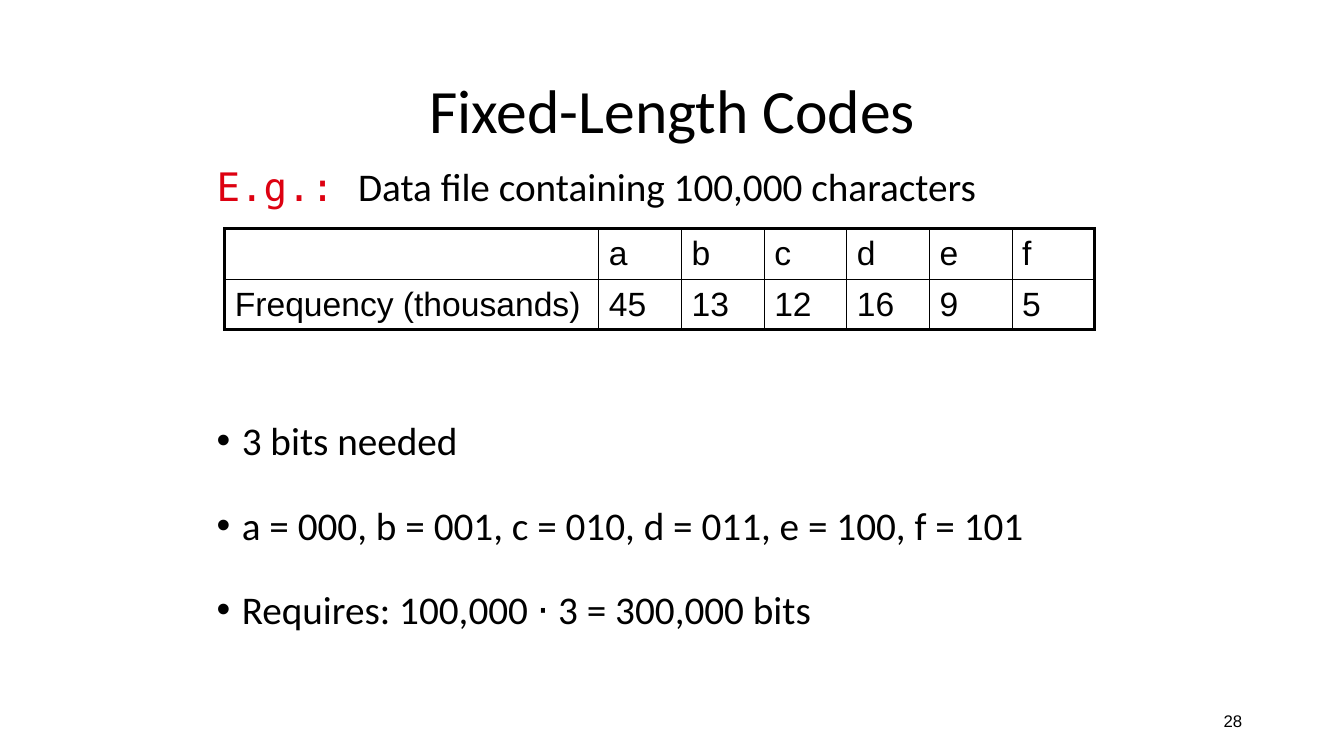
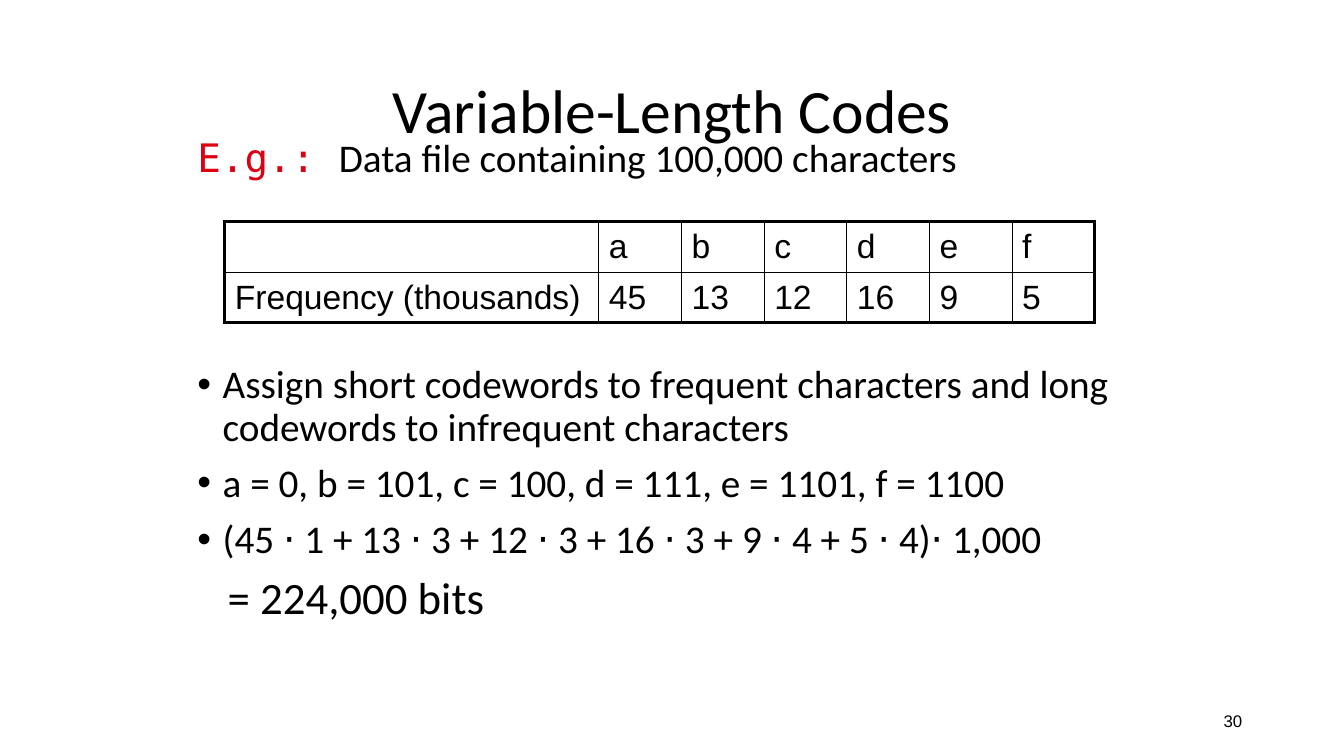
from dataclasses import dataclass

from lxml.etree import SubElement
from pptx import Presentation
from pptx.dml.color import RGBColor
from pptx.enum.text import MSO_ANCHOR, PP_ALIGN
from pptx.oxml import parse_xml
from pptx.oxml.ns import nsdecls, qn
from pptx.slide import Slide
from pptx.table import _Cell
from pptx.util import Inches, Pt

COLORS = {"text": "000000", "accent": "DD0111", "background": "FFFFFF"}
BODY_FONT, LEAD_FONT, TABLE_FONT = "Calibri", "DejaVu Sans Mono", "Arial"
THIN, THICK = 1, 2.25
COLUMNS = [3.71] + [0.82] * 6
ROW_HEIGHT = 0.45
FREQUENCIES = [
    ["", "a", "b", "c", "d", "e", "f"],
    ["Frequency (thousands)", "45", "13", "12", "16", "9", "5"],
]


@dataclass
class Box:
    left: float
    top: float
    width: float
    height: float


@dataclass
class Run:
    text: str
    size: float = 28
    font: str = BODY_FONT
    color: str = "text"


@dataclass
class Para:
    runs: list[Run]
    bullet: bool = False
    margin: float = 0
    indent: float = 0


@dataclass
class CodeSlide:
    title: str
    number: int
    lead_box: Box
    table_top: float
    bullets_box: Box
    line_spacing: float
    points: list[Para]


TITLE_BOX = Box(0.92, 0.4, 11.5, 1.45)
NUMBER_BOX = Box(9.42, 6.95, 3, 0.4)
LEAD = Para([
    Run("E.g.: ", font=LEAD_FONT, color="accent"),
    Run("Data file containing 100,000 characters"),
])


def bullet(text: str) -> Para:
    return Para([Run(text)], bullet=True, margin=0.25, indent=-0.25)


SLIDES = [
    CodeSlide(
        "Fixed-Length Codes", 28, Box(2.05, 1.33, 9.48, 0.9), 2.27,
        Box(2.05, 3.85, 9.48, 3.39), 1.5,
        [
            bullet("3 bits needed"),
            bullet("a = 000, b = 001, c = 010, d = 011, e = 100, f = 101"),
            bullet("Requires: 100,000 ⋅ 3 = 300,000 bits"),
        ],
    ),
    CodeSlide(
        "Variable-Length Codes", 30, Box(1.86, 1.33, 9.61, 0.6), 2.2,
        Box(1.86, 3.57, 9.61, 3.67), 0.9,
        [
            bullet("Assign short codewords to frequent characters "
                   "and long codewords to infrequent characters"),
            bullet("a = 0, b = 101, c = 100, d = 111, e = 1101, f = 1100"),
            bullet("(45 ⋅ 1 + 13 ⋅ 3 + 12 ⋅ 3 + 16 ⋅ 3 + 9 ⋅ 4 + 5 ⋅ 4)⋅ 1,000"),
            Para([Run("= 224,000 bits", size=32)], margin=0.3),
        ],
    ),
]


def write_run(p, run: Run) -> None:
    r = p.add_run()
    r.text = run.text
    r.font.size = Pt(run.size)
    r.font.name = run.font
    r.font.color.rgb = RGBColor.from_string(COLORS[run.color])


def add_text(s: Slide, box: Box, paras: list[Para], *,
             align: PP_ALIGN = PP_ALIGN.LEFT,
             anchor: MSO_ANCHOR = MSO_ANCHOR.TOP,
             line_spacing: float = 1.0, space_before: float = 10) -> None:
    sp = s.shapes.add_textbox(Inches(box.left), Inches(box.top),
                              Inches(box.width), Inches(box.height))
    tf = sp.text_frame
    tf.word_wrap = True
    tf.vertical_anchor = anchor
    for i, para in enumerate(paras):
        p = tf.add_paragraph() if i else tf.paragraphs[0]
        pPr = p._p.get_or_add_pPr()
        pPr.set("marL", str(Inches(para.margin)))
        pPr.set("indent", str(Inches(para.indent)))
        if para.bullet:
            SubElement(pPr, qn("a:buFont"), typeface="Arial")
            SubElement(pPr, qn("a:buChar"), char="•")
        p.alignment = align
        p.line_spacing = line_spacing
        if i:
            p.space_before = Pt(space_before)
        for run in para.runs:
            write_run(p, run)


def set_borders(cell: _Cell, widths: dict[str, float]) -> None:
    """Draw solid borders; widths maps L, R, T, B, in that order, to points."""
    tcPr = cell._tc.get_or_add_tcPr()
    for i, (side, width) in enumerate(widths.items()):
        tcPr.insert(i, parse_xml(
            f'<a:ln{side} {nsdecls("a")} w="{Pt(width)}"><a:solidFill>'
            f'<a:srgbClr val="{COLORS["text"]}"/></a:solidFill></a:ln{side}>'))


def add_frequency_table(s: Slide, top: float) -> None:
    rows, cols = len(FREQUENCIES), len(COLUMNS)
    table = s.shapes.add_table(rows, cols, Inches(2.23), Inches(top),
                               Inches(sum(COLUMNS)),
                               Inches(rows * ROW_HEIGHT)).table
    table.first_row = table.horz_banding = False
    for column, width in zip(table.columns, COLUMNS):
        column.width = Inches(width)
    for i, values in enumerate(FREQUENCIES):
        table.rows[i].height = Inches(ROW_HEIGHT)
        for j, value in enumerate(values):
            cell = table.cell(i, j)
            cell.fill.background()
            cell.vertical_anchor = MSO_ANCHOR.MIDDLE
            if value:
                write_run(cell.text_frame.paragraphs[0],
                          Run(value, size=24, font=TABLE_FONT))
            outer = {"L": j == 0, "R": j == cols - 1,
                     "T": i == 0, "B": i == rows - 1}
            set_borders(cell, {side: THICK if edge else THIN
                               for side, edge in outer.items()})


def add_code_slide(prs: Presentation, content: CodeSlide) -> None:
    s = prs.slides.add_slide(prs.slide_layouts[6])
    s.background.fill.solid()
    s.background.fill.fore_color.rgb = RGBColor.from_string(COLORS["background"])
    add_text(s, NUMBER_BOX,
             [Para([Run(str(content.number), size=12, font=TABLE_FONT)])],
             align=PP_ALIGN.RIGHT, anchor=MSO_ANCHOR.MIDDLE)
    add_text(s, TITLE_BOX, [Para([Run(content.title, size=44)])],
             align=PP_ALIGN.CENTER, anchor=MSO_ANCHOR.MIDDLE, line_spacing=0.9)
    add_text(s, content.lead_box, [LEAD], line_spacing=content.line_spacing)
    add_text(s, content.bullets_box, content.points,
             line_spacing=content.line_spacing)
    add_frequency_table(s, content.table_top)


def main() -> None:
    prs = Presentation()
    prs.slide_width, prs.slide_height = Inches(13.33), Inches(7.5)
    for content in SLIDES:
        add_code_slide(prs, content)
    prs.save("out.pptx")


if __name__ == "__main__":
    main()
